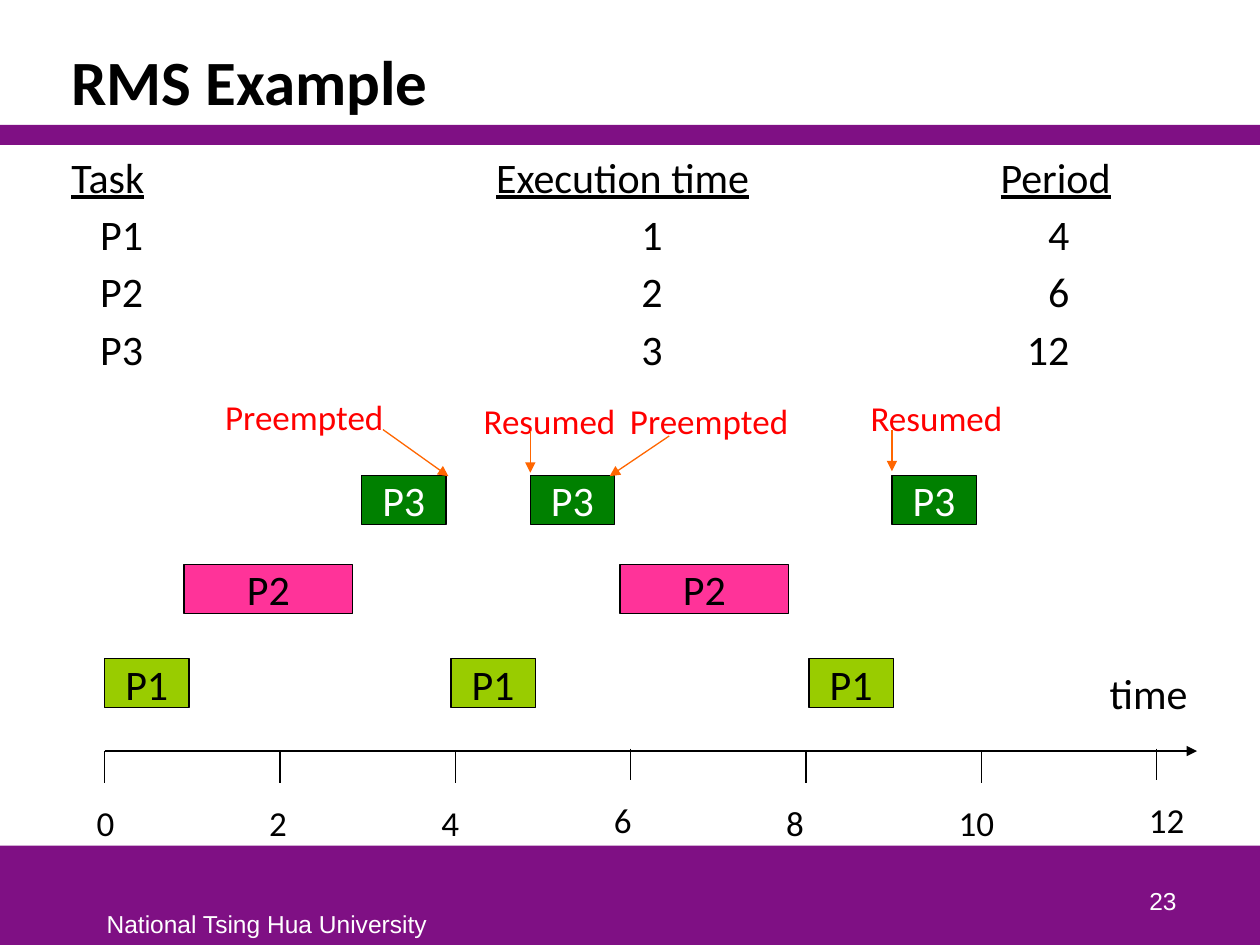
from typing import NamedTuple

from lxml.etree import SubElement
from pptx import Presentation
from pptx.dml.color import RGBColor
from pptx.enum.shapes import MSO_CONNECTOR, MSO_SHAPE
from pptx.enum.text import MSO_ANCHOR, PP_ALIGN
from pptx.oxml.ns import qn
from pptx.util import Cm, Pt

PURPLE, BLACK, WHITE = "7F1084", "000000", "FFFFFF"
RED, ORANGE = "FF0000", "FF6600"


class Task(NamedTuple):
    name: str
    top: float
    width: float
    fill: str
    ink: str
    starts: tuple[float, ...]


class Note(NamedTuple):
    text: str
    left: float
    top: float
    width: float
    tail: tuple[float, float]
    tip: tuple[float, float]


TASKS = [
    Task("P1", 13.28, 1.7, "99CC00", BLACK, (2.11, 9.09, 16.31)),
    Task("P2", 11.38, 3.4, "FF3399", BLACK, (3.71, 12.5)),
    Task("P3", 9.58, 1.7, "008000", WHITE, (7.29, 10.69, 17.98)),
]
NOTES = [
    Note("Preempted", 4.29, 7.85, 3.73, (7.72, 8.66), (9.04, 9.6)),
    Note("Resumed", 9.5, 7.92, 3.2, (10.69, 8.69), (10.69, 9.53)),
    Note("Preempted", 12.45, 7.92, 3.73, (13.49, 8.79), (12.29, 9.6)),
    Note("Resumed", 17.3, 7.87, 3.2, (17.98, 8.66), (17.98, 9.5)),
]
HEAD = "Task\tExecution time\tPeriod"
ROWS = ["\tP1\t1\t4", "\tP2\t2\t6", "\tP3\t3\t12"]
HEAD_TABS = [(8.56, "l"), (18.73, "l")]
ROW_TABS = [(0.58, "l"), (11.49, "l"), (20.12, "r")]

deck = Presentation()
deck.slide_width, deck.slide_height = Cm(25.4), Cm(19.05)
slide = deck.slides.add_slide(deck.slide_layouts[6])
shapes = slide.shapes


def color(code: str) -> RGBColor:
    return RGBColor.from_string(code)


def style(par, text: str, *, size=24, font="Calibri", ink=BLACK, bold=False,
          under=False, align=PP_ALIGN.LEFT) -> None:
    """Put text in a paragraph with the given format."""
    par.alignment = align
    run = par.add_run()
    run.text = text
    run.font.size, run.font.name = Pt(size), font
    run.font.bold, run.font.underline = bold, under
    run.font.color.rgb = color(ink)


def label(text: str, left: float, top: float, width: float, high: float, *,
          wrap=False, anchor=MSO_ANCHOR.TOP, **form):
    """Add a text box with one paragraph."""
    frame = shapes.add_textbox(Cm(left), Cm(top), Cm(width), Cm(high)).text_frame
    frame.word_wrap, frame.vertical_anchor = wrap, anchor
    style(frame.paragraphs[0], text, **form)
    return frame


def rect(left: float, top: float, width: float, high: float, fill: str):
    box = shapes.add_shape(MSO_SHAPE.RECTANGLE, Cm(left), Cm(top), Cm(width), Cm(high))
    box.shadow.inherit = False
    box.fill.solid()
    box.fill.fore_color.rgb = color(fill)
    box.line.fill.background()
    return box


def block(task: Task, left: float) -> None:
    """Add one bar of the schedule."""
    box = rect(left, task.top, task.width, 0.99, task.fill)
    box.line.color.rgb, box.line.width = color(BLACK), Pt(0.75)
    frame = box.text_frame
    frame.word_wrap, frame.vertical_anchor = False, MSO_ANCHOR.MIDDLE
    style(frame.paragraphs[0], task.name, ink=task.ink, align=PP_ALIGN.CENTER)


def line(start: tuple[float, float], end: tuple[float, float], *,
         ink=BLACK, arrow=False) -> None:
    link = shapes.add_connector(MSO_CONNECTOR.STRAIGHT, *map(Cm, start + end))
    link.line.color.rgb, link.line.width = color(ink), Pt(0.75)
    if arrow:
        SubElement(link.line._get_or_add_ln(), qn("a:tailEnd"), type="triangle")
    SubElement(link._element.spPr, qn("a:effectLst"))


def set_tabs(par, stops: list[tuple[float, str]]) -> None:
    tabs = SubElement(par._p.get_or_add_pPr(), qn("a:tabLst"))
    for pos, side in stops:
        SubElement(tabs, qn("a:tab"), pos=str(Cm(pos)), algn=side)


# Bands, footer and title
rect(0, 17.05, 25.4, 2, PURPLE)
rect(0, 2.52, 25.4, 0.4, PURPLE)
label("National Tsing Hua University", 1.9, 18.2, 7.01, 0.84,
      size=14, font="Arial", ink=WHITE)
label("23", 18.69, 17.3, 5.28, 1.27, wrap=True, anchor=MSO_ANCHOR.BOTTOM,
      size=14, font="Arial", ink=WHITE, align=PP_ALIGN.RIGHT)
title = label("RMS Example", 1.19, 0.64, 23.11, 1.88, wrap=True,
              anchor=MSO_ANCHOR.BOTTOM, size=36, bold=True)
title.paragraphs[0].line_spacing = 0.85

# Task list, in columns set by tab stops
body = label(HEAD, 1.19, 2.92, 23.11, 14, wrap=True, under=True)
set_tabs(body.paragraphs[0], HEAD_TABS)
for row in ROWS:
    par = body.add_paragraph()
    style(par, row)
    set_tabs(par, ROW_TABS)
for par in body.paragraphs:
    par.space_before = Pt(4)

# Time axis; the marks at 6 and 12 sit a little higher
line((2.11, 15.14), (24.13, 15.14), arrow=True)
label("time", 22.12, 13.34, 2.11, 1.27)
for i in range(7):
    lift = 0.05 if i in (3, 6) else 0
    x, y = 2.11 + 3.535 * i, 15.14 - lift
    line((x, y), (x, y + 0.64))
    left = 22.91 if i == 6 else 1.7 + 3.475 * i
    label(str(2 * i), left, 16.03 - lift, 1.24 if i > 4 else 0.86, 1.12, size=20)

# Schedule
for task in TASKS:
    for start in task.starts:
        block(task, start)

# Notes with arrows
for note in NOTES:
    label(note.text, note.left, note.top, note.width, 1.12, size=20, ink=RED)
    line(note.tail, note.tip, ink=ORANGE, arrow=True)

deck.save("out.pptx")
